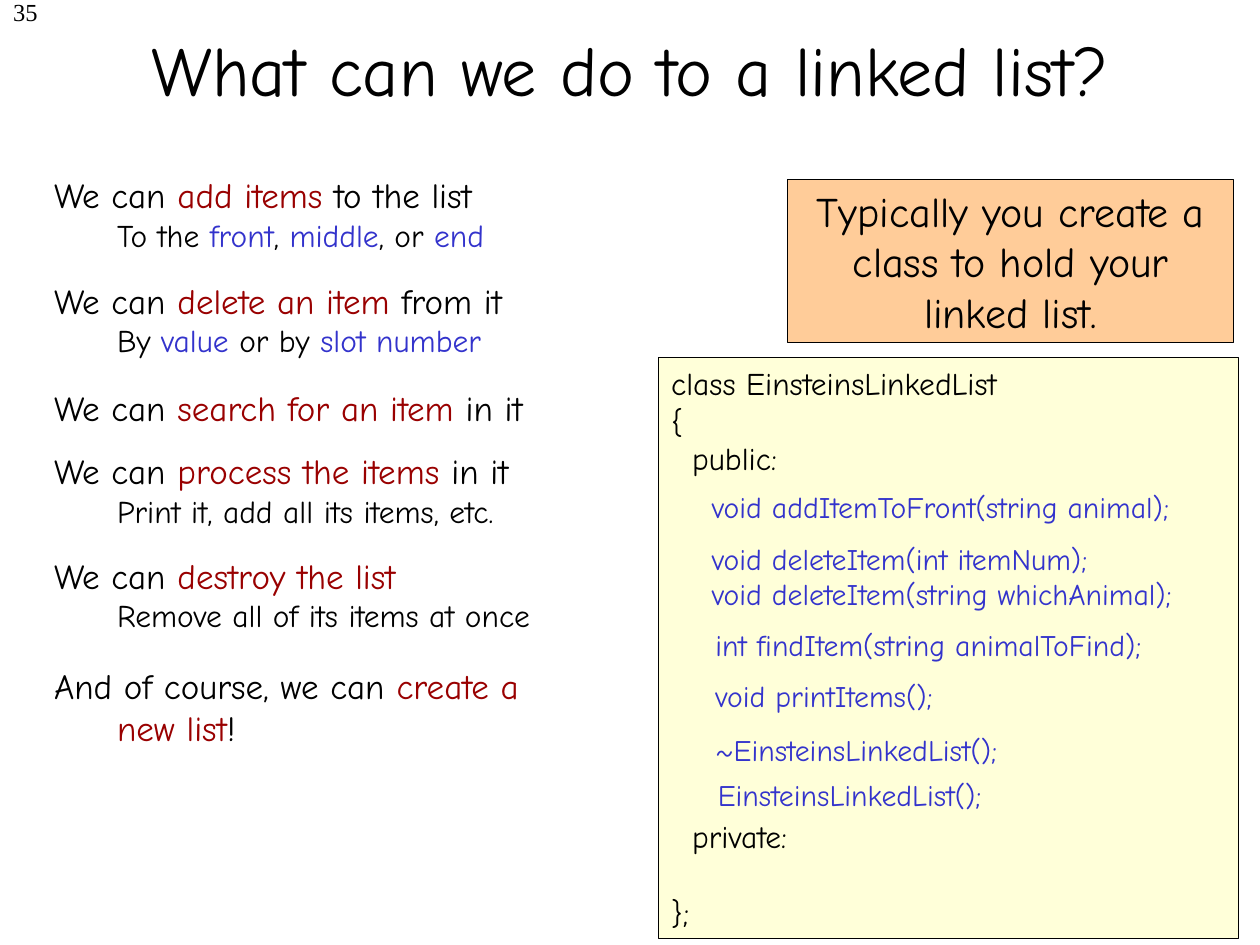
from pptx import Presentation, util as u
from pptx.dml.color import RGBColor
from pptx.enum import shapes, text

COLORS = {"ink": "000000", "action": "990000", "code": "3333CC",
          "callout": "FFCC99", "listing": "FFFFD9"}
ALIGN = {"l": text.PP_ALIGN.LEFT, "c": text.PP_ALIGN.CENTER,
         "r": text.PP_ALIGN.RIGHT}


def rgb(name):
    return RGBColor.from_string(COLORS[name])


def add_text(tf, runs, size=18, color="ink", font="Comic Neue", align="l",
             margin=0, hang=0, before=0):
    """Add a paragraph; runs is a string or a list of (text, color) pairs."""
    p = tf.paragraphs[0]
    if p.runs:
        p = tf.add_paragraph()
    p.alignment = ALIGN[align]
    p.space_before = u.Pt(before)
    if margin:
        pPr = p._p.get_or_add_pPr()
        pPr.set("marL", str(u.Cm(margin)))
        pPr.set("indent", str(u.Cm(-hang)))
    for words, run_color in [(runs, color)] if isinstance(runs, str) else runs:
        r = p.add_run()
        r.text = words
        r.font.name, r.font.size = font, u.Pt(size)
        r.font.color.rgb = rgb(run_color)


class Deck:
    INDENT = 1.27

    def __init__(self, prs):
        self.s = prs.slides.add_slide(prs.slide_layouts[6])

    def label(self, box, words, anchor=text.MSO_ANCHOR.TOP, **fmt):
        tf = self.s.shapes.add_textbox(*map(u.Cm, box)).text_frame
        tf.word_wrap = True
        tf.vertical_anchor = anchor
        for line in words:
            add_text(tf, line, **fmt)
        return tf

    def point(self, top, height, runs, detail=None):
        """A hanging statement with an optional indented detail line."""
        tf = self.label((0.84, top, 11, height), [runs], size=20,
                        margin=self.INDENT, hang=self.INDENT)
        if detail:
            add_text(tf, detail, margin=self.INDENT)

    def panel(self, box, fill):
        sp = self.s.shapes.add_shape(shapes.MSO_SHAPE.RECTANGLE,
                                     *map(u.Cm, box))
        sp.shadow.inherit = False
        sp.fill.solid()
        sp.fill.fore_color.rgb = rgb(fill)
        sp.line.color.rgb = rgb("ink")
        sp.line.width = u.Pt(0.25)
        tf = sp.text_frame
        tf.word_wrap = True
        tf.vertical_anchor = text.MSO_ANCHOR.TOP
        return tf


def main():
    prs = Presentation()
    prs.slide_width, prs.slide_height = u.Cm(25.4), u.Cm(19.05)
    deck = Deck(prs)

    deck.label((-4.27, -0.18, 5.28, 1.27), ["35"], size=14,
               font="Times New Roman", align="r")
    deck.label((1.9, -0.2, 21.6, 3.18), ["What can we do to a linked list?"],
               anchor=text.MSO_ANCHOR.MIDDLE, size=40, align="c")

    points = [
        (3.38, 1.85, "We can ", "add items", " to the list",
         [("To the ", "ink"), ("front", "code"), (", ", "ink"),
          ("middle", "code"), (", or ", "ink"), ("end", "code")]),
        (5.51, 1.85, "We can ", "delete an item", " from it",
         [("By ", "ink"), ("value", "code"), (" or by ", "ink"),
          ("slot number", "code")]),
        (7.66, 1.09, "We can ", "search for an item", " in it", None),
        (8.94, 1.85, "We can ", "process the items", " in it",
         "Print it, add all its items, etc."),
        (11.05, 1.85, "We can ", "destroy the list", "",
         "Remove all of its items at once"),
        (13.28, 1.96, "And of course, we can ", "create a new list", "!", None),
    ]
    for top, height, lead, action, tail, detail in points:
        runs = [(lead, "ink"), (action, "action"), (tail, "ink")]
        deck.point(top, height, [run for run in runs if run[0]], detail)

    callout = deck.panel((15.88, 3.61, 8.99, 3.3), "callout")
    add_text(callout, "Typically you create a class to hold your linked list.",
             size=24, align="c")

    # Gaps in the listing are whole code lines, left free for the methods.
    listing = deck.panel((13.28, 7.21, 11.68, 11.71), "listing")
    line_height = 21.6
    for line, gap in [("class EinsteinsLinkedList", 0), ("{", 0),
                      ("  public:", 0), ("  private:", 9), ("};", 1)]:
        add_text(listing, line, before=gap * line_height)

    methods = [
        (14.1, 9.73, 10.72, 0.97, ["void addItemToFront(string animal);"]),
        (14.1, 10.77, 10.92, 1.7, ["void deleteItem(int itemNum);",
                                   "void deleteItem(string whichAnimal);"]),
        (14.17, 12.52, 10.11, 1.7, ["int findItem(string animalToFind);"]),
        (14.17, 13.54, 5.51, 1.7, ["void printItems();"]),
        (14.17, 14.63, 6.91, 1.7, ["~EinsteinsLinkedList();"]),
        (14.22, 15.54, 6.55, 1.7, ["EinsteinsLinkedList();"]),
    ]
    for *box, lines in methods:
        deck.label(box, lines, size=17, color="code")

    prs.save("out.pptx")


if __name__ == "__main__":
    main()
